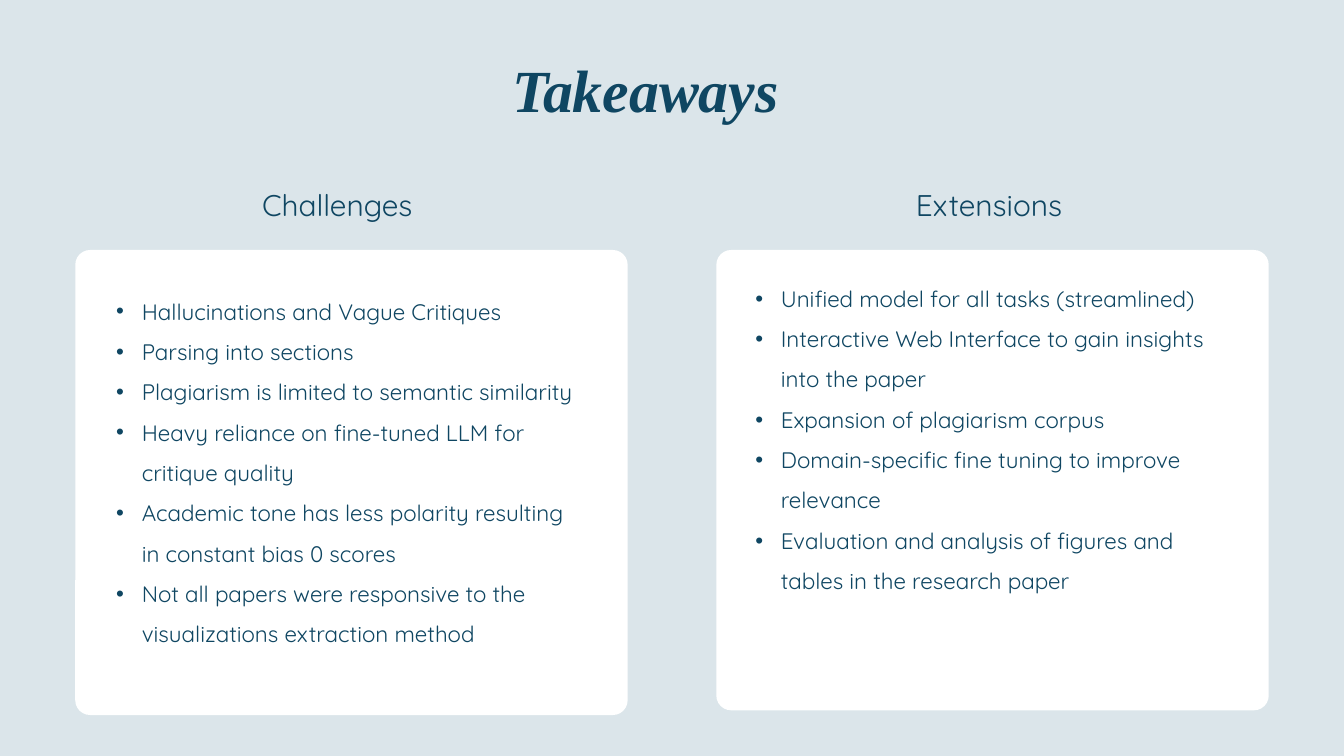
"""Build the Takeaways slide: two titled cards of bullet points."""
from dataclasses import dataclass

from lxml import etree
from pptx import Presentation
from pptx.dml.color import RGBColor
from pptx.enum import shapes, text
from pptx.oxml import ns
from pptx.slide import Slide
from pptx.text.text import TextFrame, _Paragraph
from pptx.util import Inches, Length, Pt

MIST = RGBColor(0xDB, 0xE5, 0xEA)
NAVY = RGBColor(0x0F, 0x46, 0x62)
WHITE = RGBColor(0xFF, 0xFF, 0xFF)
BODY_FONT = "Quicksand"
TITLE_FONT = "Times New Roman"
CARD_TOP, CARD_WIDTH, CORNER = 3.72, 8.22, 0.22
POINTS_WIDTH, INDENT = 7, 0.38


@dataclass(frozen=True)
class Box:
    left: float
    top: float
    width: float
    height: float

    def lengths(self) -> tuple[Length, ...]:
        return tuple(Inches(n) for n in (self.left, self.top, self.width, self.height))


@dataclass(frozen=True)
class Column:
    heading: str
    heading_left: float
    card_left: float
    card_height: float
    points_left: float
    points_top: float
    points_height: float
    points: tuple[str, ...]


COLUMNS = (
    Column("Challenges", 3.9, 1.12, 6.92, 1.73, 4.23, 6.08, (
        "Hallucinations and Vague Critiques",
        "Parsing into sections",
        "Plagiarism is limited to semantic similarity",
        "Heavy reliance on fine-tuned LLM for critique quality",
        "Academic tone has less polarity resulting in constant bias 0 scores",
        "Not all papers were responsive to the visualizations extraction method",
    )),
    Column("Extensions", 13.63, 10.66, 6.85, 11.24, 4.04, 5.38, (
        "Unified model for all tasks (streamlined)",
        "Interactive Web Interface to gain insights into the paper",
        "Expansion of plagiarism corpus",
        "Domain-specific fine tuning to improve relevance",
        "Evaluation and analysis of figures and tables in the research paper",
    )),
)


def add_text(slide: Slide, box: Box, lines: tuple[str, ...]) -> TextFrame:
    frame = slide.shapes.add_textbox(*box.lengths()).text_frame
    frame.word_wrap = True
    frame.auto_size = text.MSO_AUTO_SIZE.SHAPE_TO_FIT_TEXT
    frame.margin_left = frame.margin_right = frame.margin_top = frame.margin_bottom = 0
    frame.text = "\n".join(lines)
    return frame


def style(paragraph: _Paragraph, font: str, size: int, spacing: Length | float) -> None:
    paragraph.line_spacing = spacing
    for run in paragraph.runs:
        run.font.name = font
        run.font.size = Pt(size)
        run.font.color.rgb = NAVY


def add_bullet(paragraph: _Paragraph) -> None:
    properties = paragraph._p.get_or_add_pPr()
    properties.set("marL", str(Inches(INDENT)))
    properties.set("indent", str(-Inches(INDENT)))
    etree.SubElement(properties, ns.qn("a:buFont"), typeface="Arial")
    etree.SubElement(properties, ns.qn("a:buChar"), char="•")


def add_card(slide: Slide, box: Box) -> None:
    card = slide.shapes.add_shape(shapes.MSO_SHAPE.ROUNDED_RECTANGLE, *box.lengths())
    card.adjustments[0] = CORNER / min(box.width, box.height)
    card.shadow.inherit = False
    card.fill.solid()
    card.fill.fore_color.rgb = WHITE
    card.line.fill.background()


def add_title(slide: Slide, title: str) -> None:
    paragraph = add_text(slide, Box(7.62, 0.61, 11.29, 1.2), (title,)).paragraphs[0]
    style(paragraph, TITLE_FONT, 64, Pt(89.6))
    paragraph.runs[0].font.bold = True
    paragraph.runs[0].font.italic = True


def add_column(slide: Slide, column: Column) -> None:
    add_card(slide, Box(column.card_left, CARD_TOP, CARD_WIDTH, column.card_height))
    heading = add_text(slide, Box(column.heading_left, 2.75, 4, 0.54), (column.heading,))
    style(heading.paragraphs[0], BODY_FONT, 32, Pt(40.8))
    points_box = Box(column.points_left, column.points_top, POINTS_WIDTH, column.points_height)
    for paragraph in add_text(slide, points_box, column.points).paragraphs:
        add_bullet(paragraph)
        style(paragraph, BODY_FONT, 24, 1.5)


def main() -> None:
    deck = Presentation()
    deck.slide_width, deck.slide_height = Inches(20), Inches(11.25)
    slide = deck.slides.add_slide(deck.slide_layouts[6])
    slide.background.fill.solid()
    slide.background.fill.fore_color.rgb = MIST
    add_title(slide, "Takeaways")
    for column in COLUMNS:
        add_column(slide, column)
    deck.save("out.pptx")


if __name__ == "__main__":
    main()
